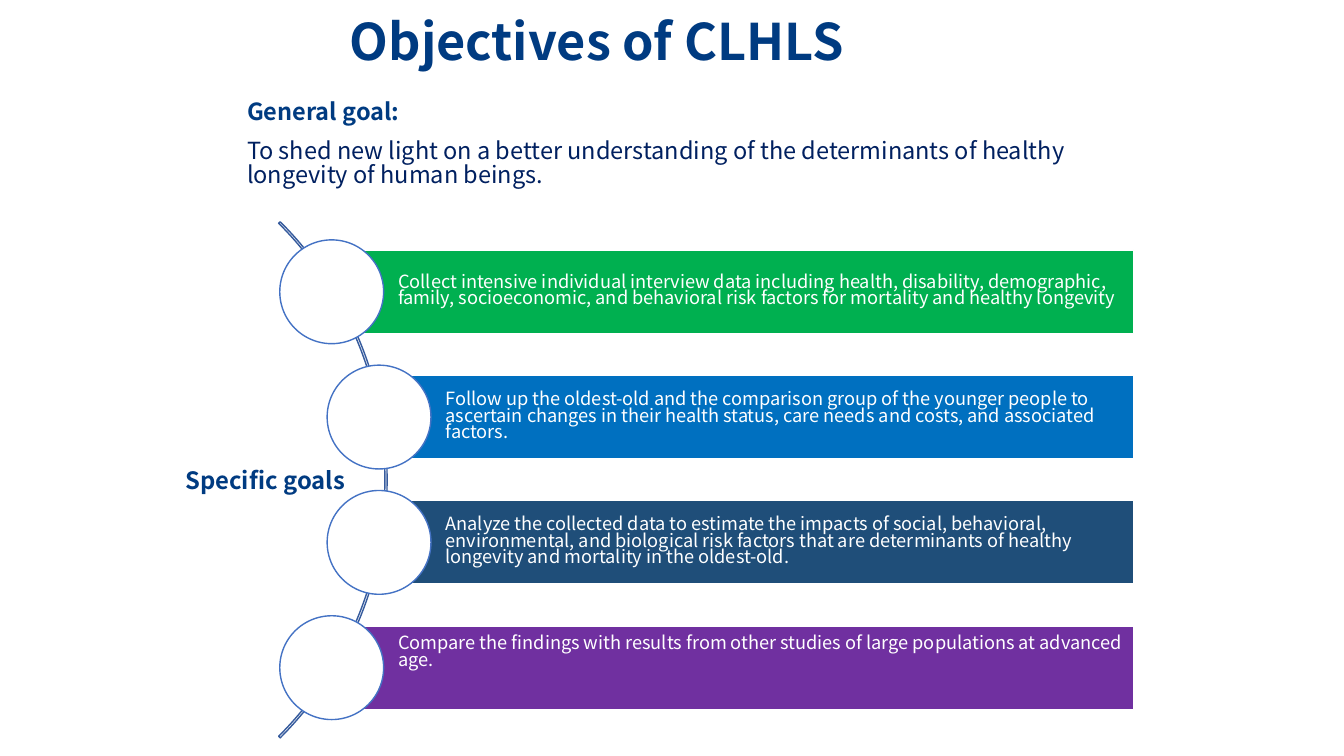
from pptx import Presentation, util as u
from pptx.dml.color import RGBColor
from pptx.enum import shapes, text
from pptx.oxml.ns import qn
from lxml import etree

hues = {"navy": "003B81", "ink": "002060", "white": "FFFFFF", "ring": "4472C4",
        "arc": "365B9D", "green": "00B050", "blue": "0070C0", "slate": "1F4E79",
        "plum": "7030A0"}
mid, top = text.MSO_ANCHOR.MIDDLE, text.MSO_ANCHOR.TOP


def write(par, words, size, hue, bold=False, **form):
    par.text = words
    for key, val in form.items():
        setattr(par, key, val)
    font = par.runs[0].font
    for key, val in {"name": "Noto Sans CJK SC", "size": u.Pt(size), "bold": bold}.items():
        setattr(font, key, val)
    font.color.rgb = RGBColor.from_string(hues[hue])


def draw(kind, box, line, fill=None):
    shape = slide.shapes.add_shape(kind, *map(u.Inches, box))
    shape.shadow.inherit = False
    shape.line.color.rgb = RGBColor.from_string(hues[line])
    shape.line.width = u.Pt(1)
    if fill:
        shape.fill.solid()
        shape.fill.fore_color.rgb = RGBColor.from_string(hues[fill])
    else:
        shape.fill.background()
    return shape


deck = Presentation()
deck.slide_width, deck.slide_height = u.Inches(13.33), u.Inches(7.5)
slide = deck.slides.add_slide(deck.slide_layouts[1])
title, body = slide.placeholders

# Title and general goal
for item, box, anchor in ((title, (3.37, 0.14, 8.62, 0.59), mid),
                          (body, (2.35, 0.96, 9.07, 1.11), top)):
    item.left, item.top, item.width, item.height = map(u.Inches, box)
    frame = item.text_frame
    frame.auto_size = text.MSO_AUTO_SIZE.NONE
    frame.vertical_anchor = anchor
left = text.PP_ALIGN.LEFT
write(title.text_frame.paragraphs[0], "Objectives of CLHLS", 36, "navy", True,
      alignment=left, line_spacing=0.9)
goal = body.text_frame.paragraphs[0]
aim = body.text_frame.add_paragraph()
for par in (goal, aim):
    prop = par._p.get_or_add_pPr()
    prop.set("marL", "0")
    prop.set("indent", "0")
    etree.SubElement(prop, qn("a:buNone"))
write(goal, "General goal:", 16.8, "navy", True, space_before=u.Pt(0), line_spacing=0.85)
write(aim, "To shed new light on a better understanding of the determinants of healthy "
      "longevity of human beings.", 16.8, "ink", space_before=u.Pt(10), line_spacing=0.85)

# Arc behind the goals
arc = draw(shapes.MSO_SHAPE.BLOCK_ARC, (-3.4, 1.14, 7.24, 7.24), "arc")
for i, val in enumerate((189, 27, 0.003)):
    arc.adjustments[i] = val

# Specific goals: bar x, colour, bottom inset, wording
goals = [
    (3.29, "green", 0.04, "Collect intensive individual interview data including health, "
     "disability, demographic, family, socioeconomic, and behavioral risk factors for "
     "mortality and healthy longevity"),
    (3.76, "blue", 0.04, "Follow up the oldest-old and the comparison group of the younger "
     "people to ascertain changes in their health status, care needs and costs, and "
     "associated factors."),
    (3.76, "slate", 0.04, "Analyze the collected data to estimate the impacts of social, "
     "behavioral, environmental, and biological risk factors that are determinants of "
     "healthy longevity and mortality in the oldest-old."),
    (3.29, "plum", 0.33, "Compare the findings with results from other studies of large "
     "populations at advanced age."),
]
edge, pitch, dot = 11.24, 1.243, 1.03
for i, (x, hue, foot, words) in enumerate(goals):
    y = 2.48 + i * pitch
    bar = draw(shapes.MSO_SHAPE.RECTANGLE, (x, y, edge - x, 0.83), "white", hue)
    frame = bar.text_frame
    form = {"word_wrap": True, "vertical_anchor": mid, "margin_left": u.Inches(0.66),
            "margin_right": u.Inches(0.04), "margin_top": u.Inches(0.04),
            "margin_bottom": u.Inches(foot)}
    for key, val in form.items():
        setattr(frame, key, val)
    write(frame.paragraphs[0], words, 13, "white", alignment=left, line_spacing=0.75)
    draw(shapes.MSO_SHAPE.OVAL, (x - dot / 2, y - 0.1, dot, dot), "ring", "white")

# Side label
label = slide.shapes.add_textbox(*map(u.Inches, (1.74, 4.57, 2.23, 0.39)))
label.text_frame.word_wrap = True
write(label.text_frame.paragraphs[0], "Specific goals", 17, "navy", True)

deck.save("out.pptx")
